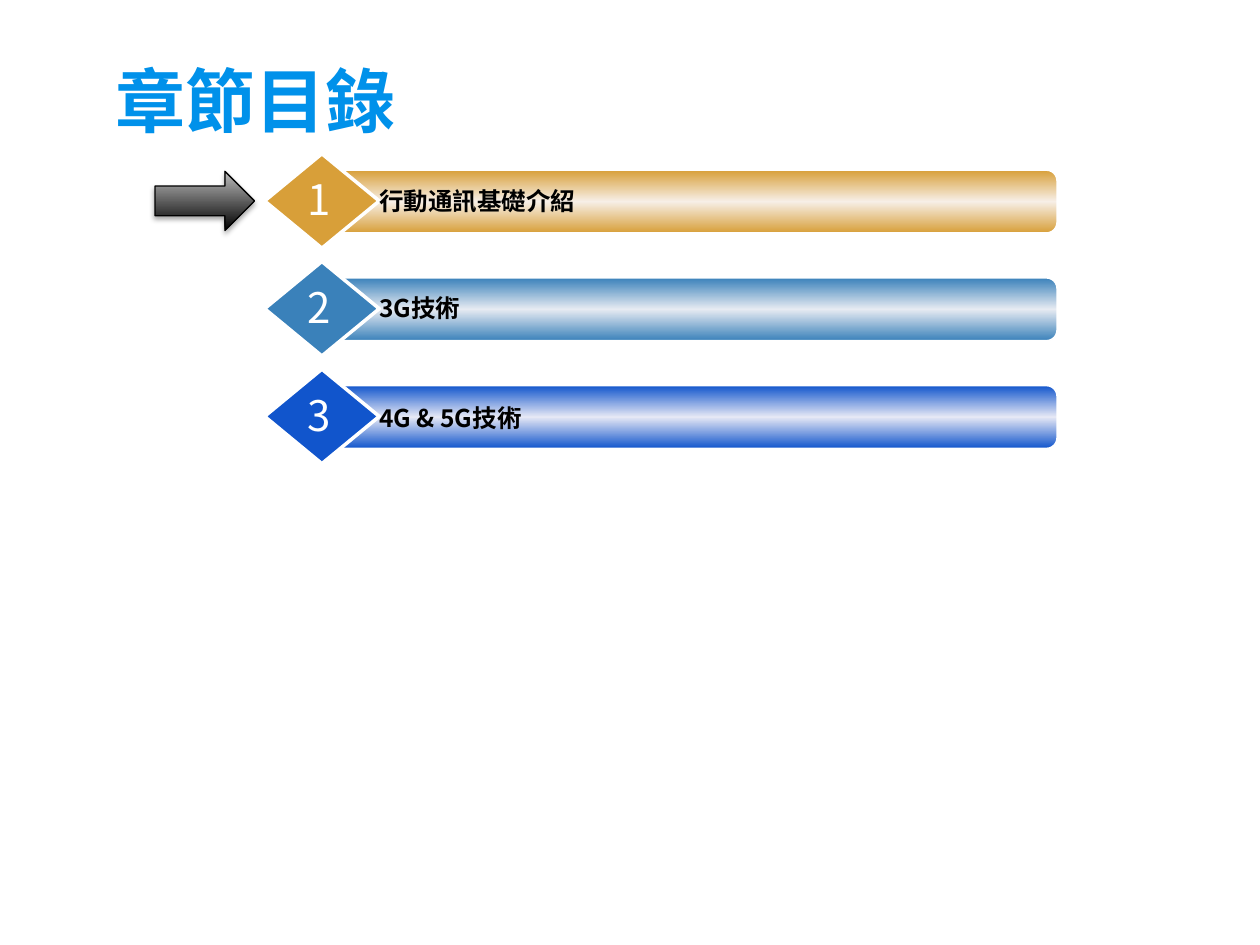
import copy

import pptx
import pptx.dml.color
import pptx.enum.shapes
import pptx.enum.text
import pptx.oxml
import pptx.oxml.ns
import pptx.util

SHAPES = pptx.enum.shapes.MSO_SHAPE
ALIGN = pptx.enum.text.PP_ALIGN
ANCHOR = pptx.enum.text.MSO_ANCHOR
COLORS = {
    "title": "0091EA",
    "black": "000000",
    "white": "FFFFFF",
    "silver": "BDBDBD",
    "gold": "D89F39",
    "gold_light": "F7EFE7",
    "steel": "3A81BA",
    "steel_light": "E7EBF2",
    "royal": "1155CC",
    "royal_light": "E6E8F5",
}
CHAPTERS = [
    ("行動通訊基礎介紹", "gold", 2.1),
    ("3G技術", "steel", 2),
    ("4G & 5G技術", "royal", 2.2),
]
FIRST_ROW, ROW_STEP = 12.2, 8.55


def color(name):
    return pptx.dml.color.RGBColor.from_string(COLORS[name])


def write_text(box, text, *, size, tint, bold=False, align=ALIGN.LEFT):
    para = box.text_frame.paragraphs[0]
    para.alignment = align
    span = para.add_run()
    span.text = text
    span.font.size = pptx.util.Pt(size)
    span.font.bold = bold
    span.font.color.rgb = color(tint)
    span.font.name = SlideBuilder.font
    east_asian = pptx.oxml.parse_xml(
        f'<a:ea {pptx.oxml.ns.nsdecls("a")} typeface="{SlideBuilder.font}"/>'
    )
    span.font._element.append(east_asian)


class SlideBuilder:
    font = "Noto Sans CJK SC"
    columns, rows = 100, 75

    def __init__(self, deck):
        self.deck = deck
        self.page = deck.slides.add_slide(deck.slide_layouts[6])

    def place(self, left, top, width, height):
        across = self.deck.slide_width / self.columns
        down = self.deck.slide_height / self.rows
        return [round(n) for n in (left * across, top * down, width * across, height * down)]

    def shape(self, kind, area, fills, line, weight, angle=270, parent=None):
        shape = (parent or self.page).shapes.add_shape(kind, *self.place(*area))
        shape.shadow.inherit = False
        if len(fills) == 1:
            shape.fill.solid()
            shape.fill.fore_color.rgb = color(fills[0])
        else:
            self.gradient(shape, fills, angle)
        shape.line.color.rgb = color(line)
        shape.line.width = pptx.util.Pt(weight)
        return shape

    def gradient(self, shape, fills, angle):
        shape.fill.gradient()
        shape.fill.gradient_angle = angle
        stop_list = shape._element.spPr.find(".//" + pptx.oxml.ns.qn("a:gsLst"))
        for _ in fills[2:]:
            stop_list.append(copy.deepcopy(stop_list[0]))
        for index, stop in enumerate(shape.fill.gradient_stops):
            stop.color.rgb = color(fills[index])
            stop.position = index / (len(fills) - 1)

    def drop_shadow(self, shape):
        effects = shape._element.spPr.find(pptx.oxml.ns.qn("a:effectLst"))
        effects.append(pptx.oxml.parse_xml(
            f'<a:outerShdw {pptx.oxml.ns.nsdecls("a")} blurRad="{pptx.util.Pt(3.1)}" '
            f'dist="{pptx.util.Pt(1.8)}" dir="5400000" rotWithShape="0">'
            f'<a:srgbClr val="{COLORS["black"]}"><a:alpha val="35000"/></a:srgbClr>'
            '</a:outerShdw>'
        ))

    def text(self, text, area, *, parent=None, wrap=True, **style):
        box = (parent or self.page).shapes.add_textbox(*self.place(*area))
        box.text_frame.word_wrap = wrap
        write_text(box, text, **style)
        return box

    def title(self, text):
        box = self.text(text, (8.2, 2, 82.8, 10.2), size=40, tint="title", bold=True)
        frame = box.text_frame
        frame.vertical_anchor = ANCHOR.BOTTOM
        frame.margin_top = frame.margin_bottom = pptx.util.Inches(0.1)

    def marker(self):
        arrow = self.shape(SHAPES.RIGHT_ARROW, (12.3, 13.6, 7.9, 4.7),
                           ["black", "silver"], "black", 0.75, angle=90)
        self.drop_shadow(arrow)

    def chapter(self, number, label, tint, label_drop):
        top = FIRST_ROW + (number - 1) * ROW_STEP
        group = self.page.shapes.add_group_shape()
        bar = self.shape(SHAPES.ROUNDED_RECTANGLE, (26, top + 1.3, 57.9, 5),
                         [tint, tint + "_light", tint], "white", 1, parent=group)
        bar.adjustments[0] = 0.17
        self.shape(SHAPES.DIAMOND, (21, top, 9.1, 7.5), [tint], "white", 2, parent=group)
        self.text(label, (29.1, top + label_drop, 54.1, 3.4), parent=group,
                  size=14, tint="black", bold=True, align=ALIGN.JUSTIFY)
        self.text(str(number), (23.4, top + 1.1, 4, 5.1), parent=group, wrap=False,
                  size=24, tint="white", align=ALIGN.JUSTIFY)


def main():
    deck = pptx.Presentation()
    deck.slide_width = pptx.util.Inches(10)
    deck.slide_height = pptx.util.Inches(7.5)
    builder = SlideBuilder(deck)
    builder.title("章節目錄")
    builder.marker()
    for number, chapter in enumerate(CHAPTERS, 1):
        builder.chapter(number, *chapter)
    deck.save("out.pptx")


if __name__ == "__main__":
    main()
